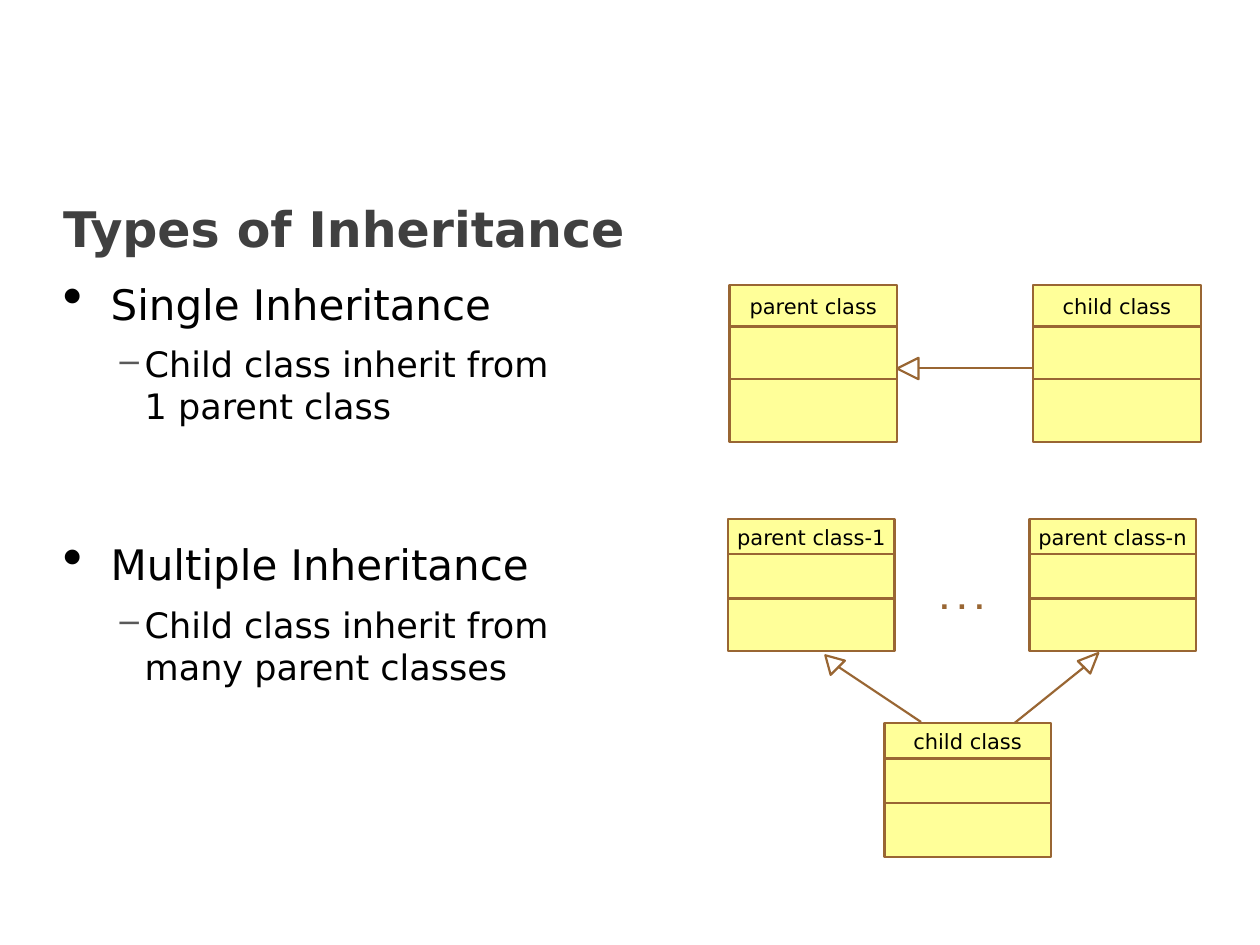
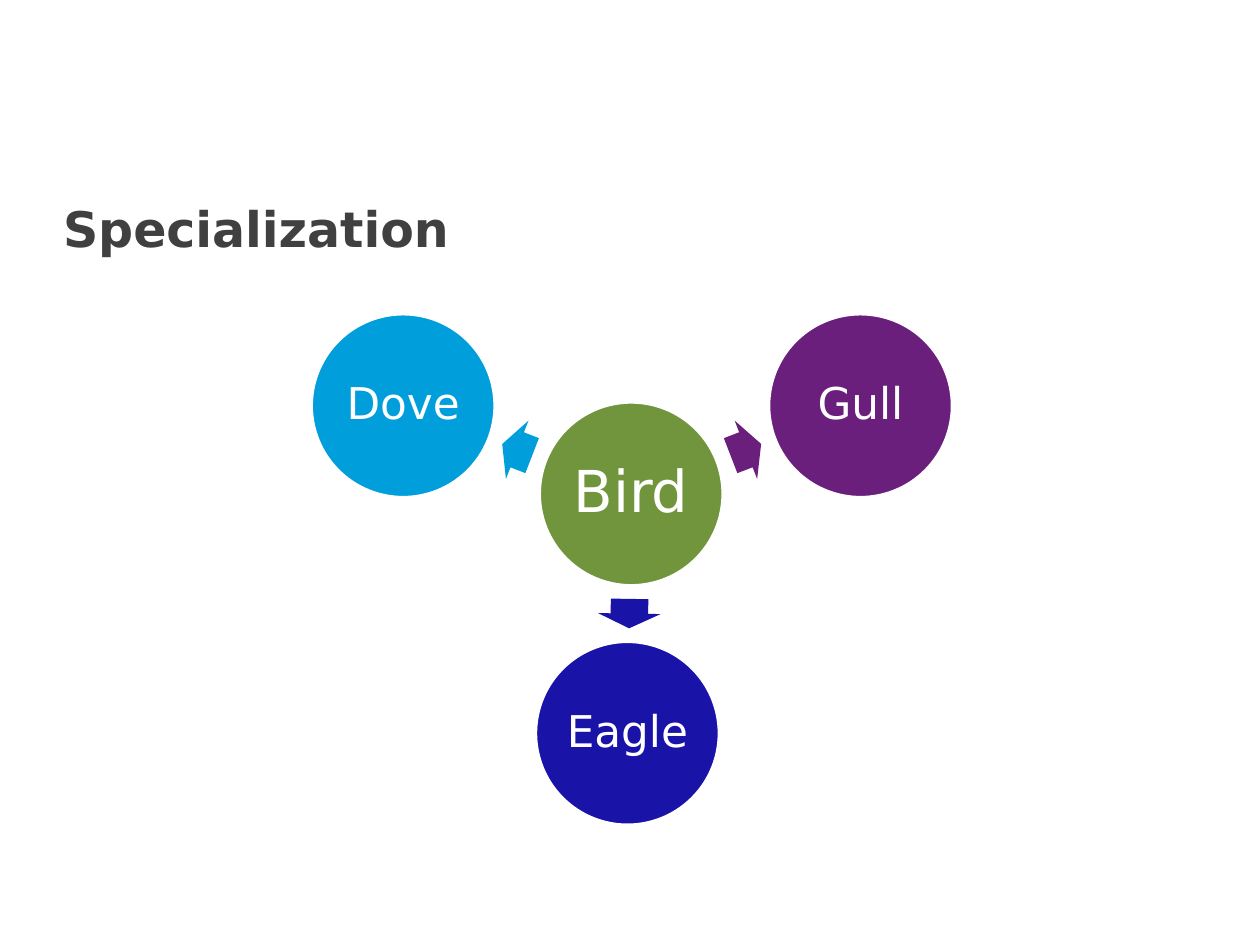
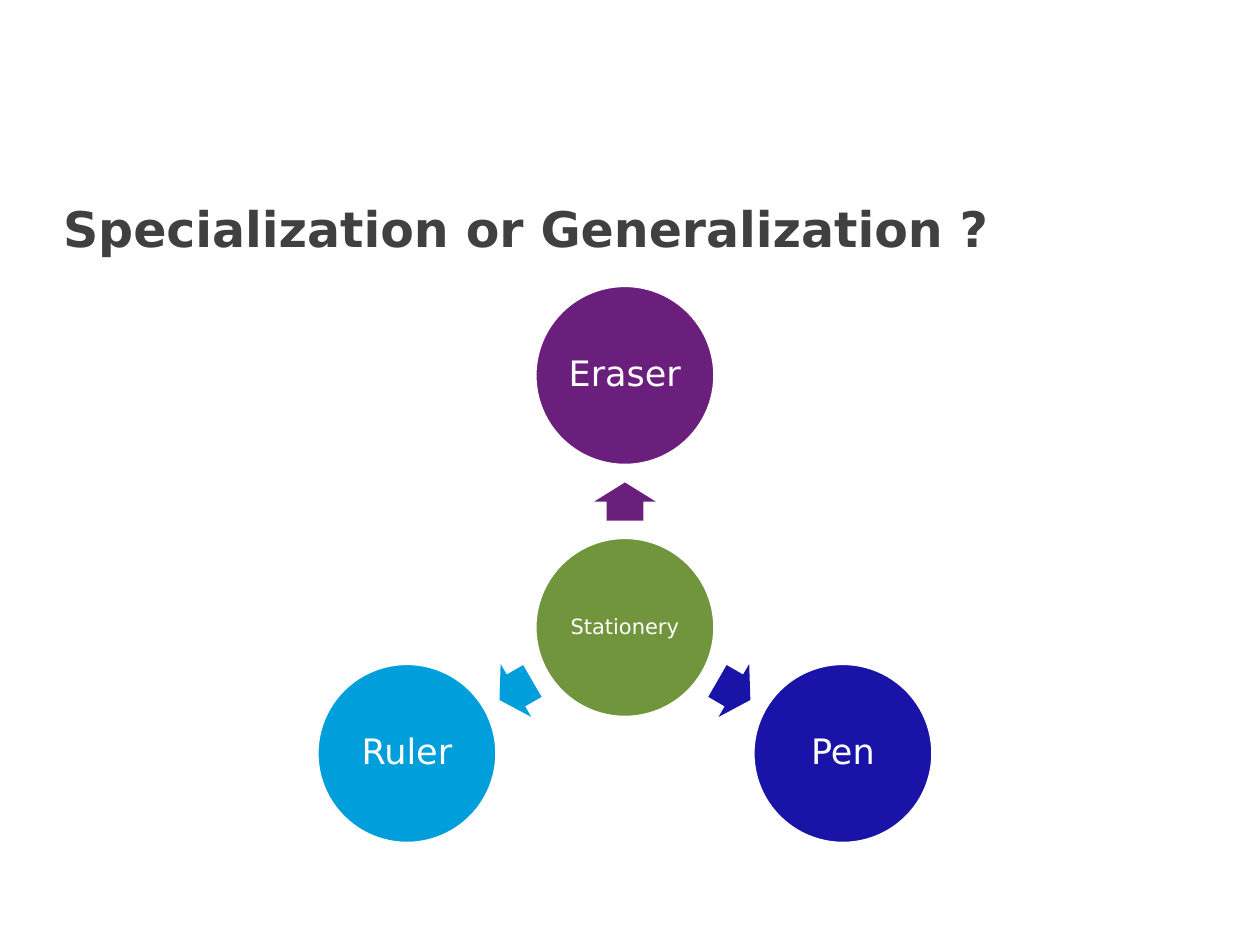
import math

import pptx
import pptx.dml.color
import pptx.enum.shapes
import pptx.enum.text
import pptx.util
from lxml import etree

Inches = pptx.util.Inches
Pt = pptx.util.Pt
Shape = pptx.enum.shapes.MSO_SHAPE
Align = pptx.enum.text.PP_ALIGN
Anchor = pptx.enum.text.MSO_ANCHOR

COLORS = {
    "title": "404040", "text": "000000", "dash": "595959", "white": "FFFFFF",
    "class": "FFFF99", "outline": "996633",
    "green": "71953D", "purple": "6B1F7C", "navy": "1A13A8", "sky": "009FDB",
}
FONT = "DejaVu Sans"
LEFT, WIDTH = 0.4, 9.11
TITLE_TOP, TITLE_HEIGHT = 1.46, 0.7
BODY_TOP, BODY_HEIGHT = TITLE_TOP + TITLE_HEIGHT, 4.43
DRAWING = "http://schemas.openxmlformats.org/drawingml/2006/main"


def write(para, lines, size, color, **formats):
    """Add lines of text, parted by line breaks, in one style."""
    for number, line in enumerate(lines):
        if number:
            para.add_line_break()
        span = para.add_run()
        span.text = line
        span.font.color.rgb = pptx.dml.color.RGBColor.from_string(COLORS[color])
        for key, value in ({"name": FONT, "size": Pt(size)} | formats).items():
            setattr(span.font, key, value)


def add_shape(page, kind, at, fill=None, line=None, weight=1.25, turn=0):
    """Add a preset shape without shadow; at is left, top, width, height."""
    shape = page.shapes.add_shape(kind, *map(Inches, at))
    shape.shadow.inherit = False
    shape.rotation = turn
    for part, color in ((shape.fill, fill), (shape.line.fill, line)):
        if color:
            part.solid()
            part.fore_color.rgb = pptx.dml.color.RGBColor.from_string(COLORS[color])
        else:
            part.background()
    if line:
        shape.line.width = Pt(weight)
    return shape


deck = pptx.Presentation()
deck.slide_width, deck.slide_height = Inches(10), Inches(7.5)

# Slides with their titles
pages = []
for text in ("Types of Inheritance", "Specialization", "Specialization or Generalization ?"):
    page = deck.slides.add_slide(deck.slide_layouts[5])
    title = page.shapes.title
    title.left, title.top = Inches(LEFT), Inches(TITLE_TOP)
    title.width, title.height = Inches(WIDTH), Inches(TITLE_HEIGHT)
    title.text_frame.auto_size = pptx.enum.text.MSO_AUTO_SIZE.NONE
    title.text_frame.vertical_anchor = Anchor.MIDDLE
    para = title.text_frame.paragraphs[0]
    para.alignment = Align.LEFT
    write(para, [text], 28, "title", bold=True)
    pages.append(page)

# Slide 1: bulleted list
page = pages[0]
body = page.shapes.add_textbox(*map(Inches, (LEFT, BODY_TOP, WIDTH, BODY_HEIGHT)))
body.text_frame.word_wrap = True
levels = [
    {"size": 24, "margin": 0.38, "indent": -0.38, "bullet": "•", "scale": 135, "color": "text"},
    {"size": 20, "margin": 0.65, "indent": -0.2, "bullet": "–", "scale": 100, "color": "dash"},
]
items = [
    (0, 0, ["Single Inheritance"]),
    (1, 8, ["Child class inherit from", "1 parent class"]),
    (0, 64, ["Multiple Inheritance"]),
    (1, 8, ["Child class inherit from", "many parent classes"]),
]
for number, (level, gap, lines) in enumerate(items):
    para = body.text_frame.add_paragraph() if number else body.text_frame.paragraphs[0]
    style = levels[level]
    para.level = level
    para.space_before = Pt(gap)
    write(para, lines, style["size"], "text")
    properties = para._p.get_or_add_pPr()
    properties.set("marL", str(Inches(style["margin"])))
    properties.set("indent", str(Inches(style["indent"])))
    bullet_color = etree.SubElement(properties, f"{{{DRAWING}}}buClr")
    etree.SubElement(bullet_color, f"{{{DRAWING}}}srgbClr", val=COLORS[style["color"]])
    etree.SubElement(properties, f"{{{DRAWING}}}buSzPct", val=str(style["scale"] * 1000))
    etree.SubElement(properties, f"{{{DRAWING}}}buChar", char=style["bullet"])

# Slide 1: class boxes of name, attributes and methods
ROW_SHARES = (0.265, 0.335, 0.4)
classes = [
    ("parent class", 5.79, 2.26, 1.33, 1.25),
    ("child class", 8.2, 2.26, 1.33, 1.25),
    ("parent class-1", 5.78, 4.12, 1.32, 1.05),
    ("parent class-n", 8.17, 4.12, 1.32, 1.05),
    ("child class", 7.02, 5.74, 1.32, 1.06),
]
for name, left, top, width, height in classes:
    for row, share in enumerate(ROW_SHARES):
        at = (left, top + height * sum(ROW_SHARES[:row]), width, height * share)
        box = add_shape(page, Shape.RECTANGLE, at, "class", "outline")
        if row == 0:
            box.text_frame.word_wrap = False
            box.text_frame.vertical_anchor = Anchor.MIDDLE
            para = box.text_frame.paragraphs[0]
            para.alignment = Align.CENTER
            write(para, [name], 12, "text")

# Slide 1: inheritance arrows, each a hollow triangle and a line
arrows = [
    ((7.12, 2.84, 0.17, 0.17), 270, (7.29, 2.92, 8.2, 2.92)),
    ((6.52, 5.18, 0.16, 0.14), 315, (6.65, 5.29, 7.31, 5.73)),
    ((8.59, 5.16, 0.14, 0.16), 45, (8.61, 5.29, 8.05, 5.74)),
]
for head, turn, ends in arrows:
    add_shape(page, Shape.ISOSCELES_TRIANGLE, head, line="outline", turn=turn)
    line = page.shapes.add_connector(
        pptx.enum.shapes.MSO_CONNECTOR.STRAIGHT, *map(Inches, ends))
    line.line.color.rgb = pptx.dml.color.RGBColor.from_string(COLORS["outline"])
    line.line.width = Pt(1.25)
    etree.SubElement(line._element.spPr, f"{{{DRAWING}}}effectLst")

dots = page.shapes.add_textbox(*map(Inches, (7.18, 4.54, 0.91, 0.34)))
dots.text_frame.word_wrap = True
dots.text_frame.paragraphs[0].alignment = Align.CENTER
write(dots.text_frame.paragraphs[0], [". . ."], 18, "outline", name="Arial", bold=True)

# Slides 2 and 3: a hub circle with arrows to the circles around it
ARROW_LENGTH_SHARE = 0.53
ARROW_WIDTH_SHARE = 0.34
wheels = [
    {"center": (5.01, 3.92), "diameter": 1.46, "hub": ("Bird", 33), "size": 25,
     "spokes": [("Gull", "purple", 1.82, -0.7), ("Eagle", "navy", -0.03, 1.9),
                ("Dove", "sky", -1.81, -0.7)]},
    {"center": (4.96, 4.98), "diameter": 1.43, "hub": ("Stationery", 12), "size": 20,
     "spokes": [("Eraser", "purple", 0, -2), ("Pen", "navy", 1.73, 1),
                ("Ruler", "sky", -1.73, 1)]},
]
for page, wheel in zip(pages[1:], wheels):
    center_x, center_y = wheel["center"]
    diameter = wheel["diameter"]
    hub_name, hub_size = wheel["hub"]
    circles = [(hub_name, "green", 0, 0, hub_size)]
    circles += [(*spoke, wheel["size"]) for spoke in wheel["spokes"]]
    for name, color, across, down, size in circles:
        distance = math.hypot(across, down)
        if distance:
            length = (distance - diameter) * ARROW_LENGTH_SHARE
            width = diameter * ARROW_WIDTH_SHARE
            at = (center_x + across / 2 - length / 2,
                  center_y + down / 2 - width / 2, length, width)
            turn = math.degrees(math.atan2(down, across)) % 360
            arrow = add_shape(page, Shape.RIGHT_ARROW, at, color, turn=turn)
            arrow.adjustments[0], arrow.adjustments[1] = 0.6, 0.5
        at = (center_x + across - diameter / 2,
              center_y + down - diameter / 2, diameter, diameter)
        circle = add_shape(page, Shape.OVAL, at, color, "white", 2)
        frame = circle.text_frame
        frame.word_wrap = True
        frame.vertical_anchor = Anchor.MIDDLE
        for side in ("left", "top", "right", "bottom"):
            setattr(frame, f"margin_{side}", Inches(0.03))
        para = frame.paragraphs[0]
        para.alignment = Align.CENTER
        para.line_spacing = 0.9
        write(para, [name], size, "white")

deck.save("out.pptx")
